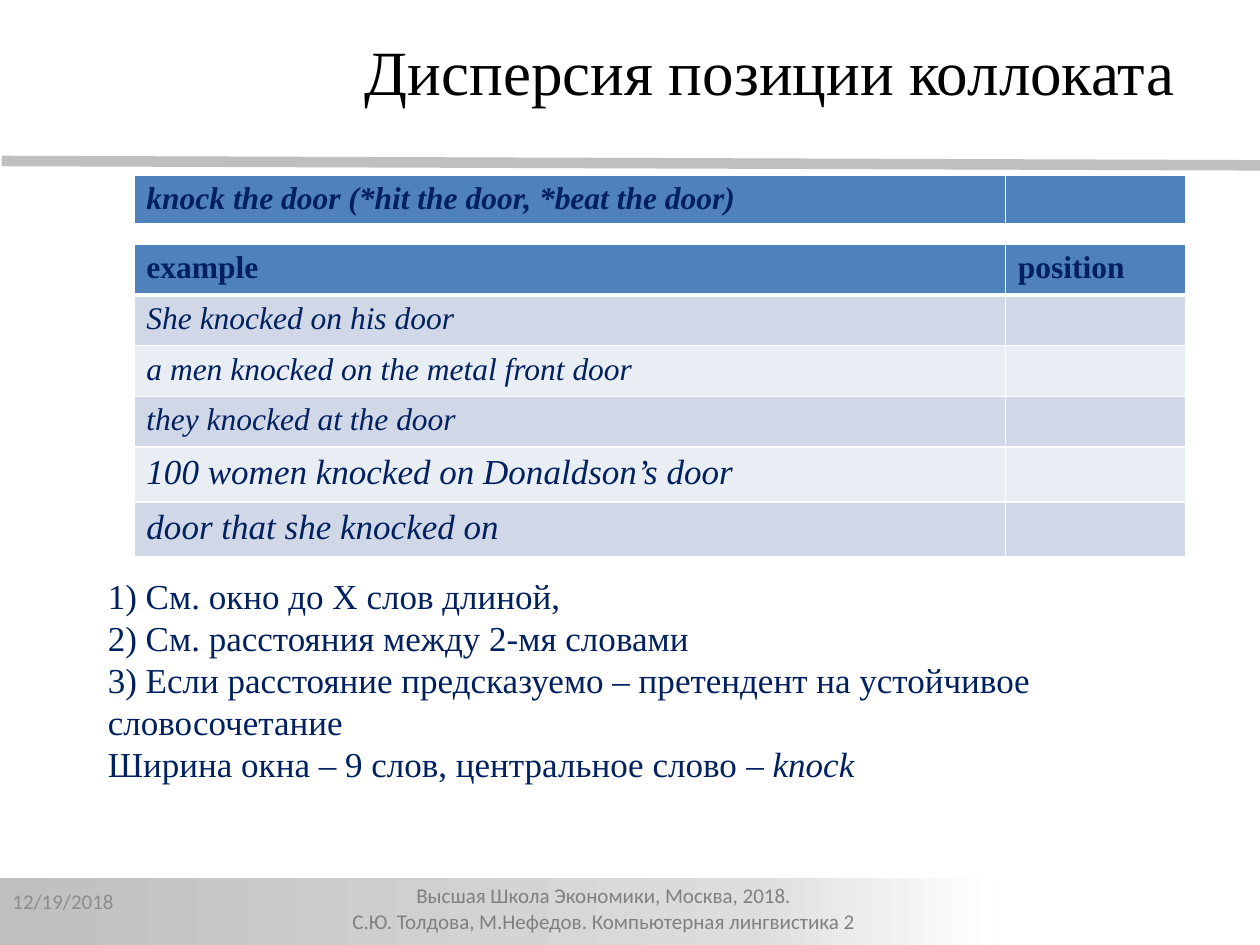
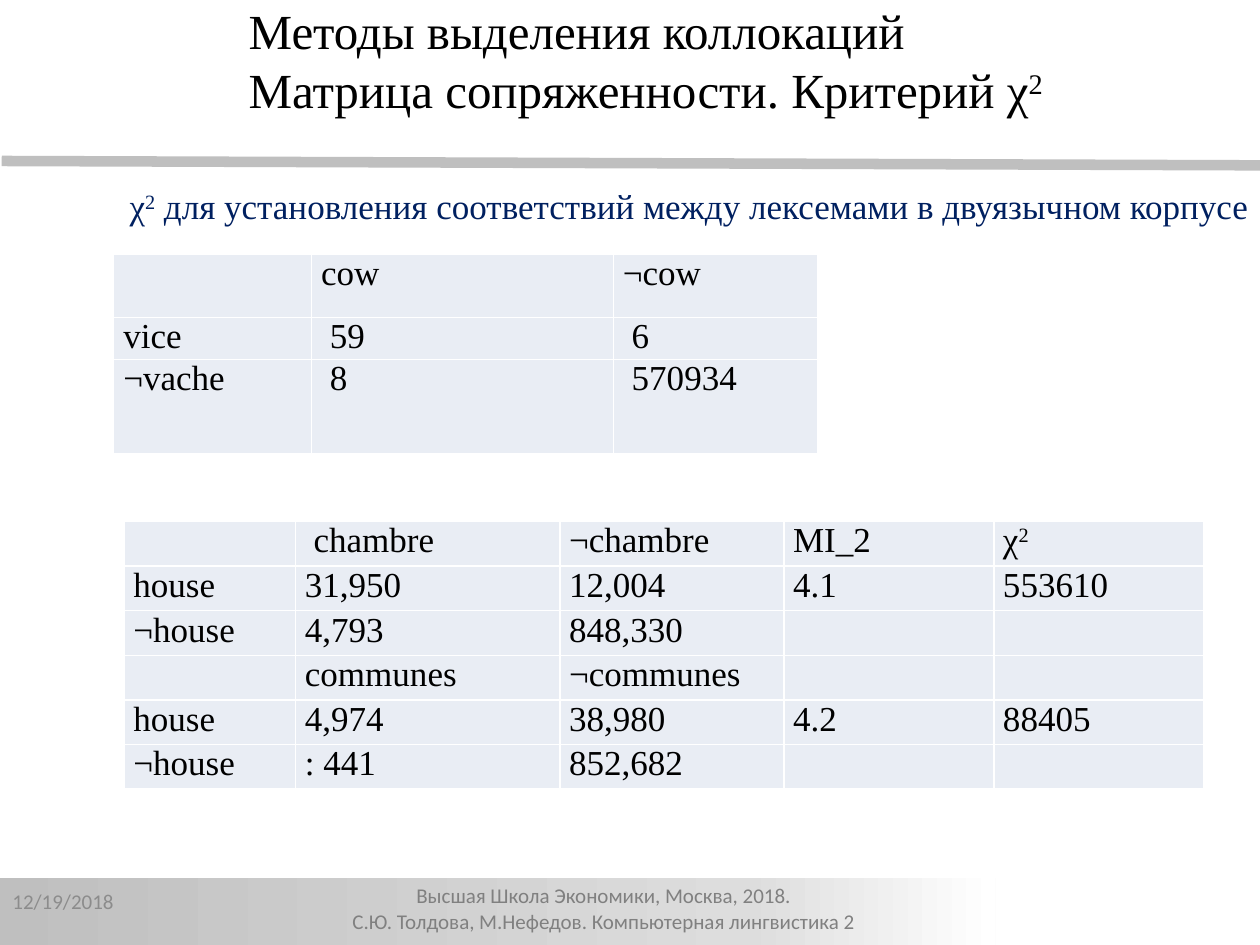
from lxml import etree
from pptx import Presentation
from pptx.dml.color import RGBColor
from pptx.enum import shapes, text
from pptx.oxml import parse_xml
from pptx.oxml.ns import nsdecls, qn
from pptx.util import Pt

SERIF, SANS = "Times New Roman", "Calibri"
BLACK, WHITE, NAVY, GRAY = "000000", "FFFFFF", "002060", "BFBFBF"
FOOTER_GRAY, DATE_GRAY = "808080", "8C8C8C"
HEADER_BLUE, BAND_DARK, BAND_LIGHT = "4F81BD", "D0D8E8", "E9EDF4"
BAND_STOPS = [(0, GRAY), (75, "DDDDDD"), (100, WHITE)]

DATE = "12/19/2018"
FOOTER = [
    "Высшая Школа Экономики, Москва, 2018.",
    "С.Ю. Толдова, М.Нефедов. Компьютерная лингвистика 2",
]
SQUARED = ("2", "super")

DISPERSION_TITLE = ["Дисперсия позиции коллоката"]
PHRASE = [["knock the door (*hit the door, *beat the door)", ""]]
EXAMPLES = [
    ["example", "position"],
    ["She knocked on his door", ""],
    ["a men knocked on the metal front door", ""],
    ["they knocked at the door", ""],
    ["100 women knocked on Donaldson’s door", ""],
    ["door that she knocked on", ""],
]
STEPS = [
    "1) См. окно до Х слов длиной,",
    "2) См. расстояния между 2-мя словами",
    "3) Если расстояние предсказуемо – претендент на устойчивое словосочетание",
    [("Ширина окна – 9 слов, центральное слово ", ""), ("– knock", "italic")],
]

MATRIX_TITLE = [
    "Методы выделения коллокаций",
    [("Матрица сопряженности. Критерий χ", ""), SQUARED],
]
MATRIX_LEAD = [[
    ("χ", ""), SQUARED,
    (" для установления соответствий между лексемами в двуязычном корпусе", ""),
]]
COW_MATRIX = [
    ["", "cow", "¬cow"],
    ["vice", "59", "6"],
    ["¬vache", "8", "570934"],
]
COW_INDENTED = {(1, 1), (1, 2), (2, 1), (2, 2)}
HOUSE_MATRIX = [
    ["", "chambre", "¬chambre", "MI_2", [("χ", ""), SQUARED]],
    ["house", "31,950", "12,004", "4.1", "553610"],
    ["¬house", "4,793", "848,330", "", ""],
    ["", "communes", "¬communes", "", ""],
    ["house", "4,974", "38,980", "4.2", "88405"],
    ["¬house", ": 441", "852,682", "", ""],
]
HOUSE_INDENTED = {(0, 1)}


def color(value):
    return RGBColor.from_string(value)


def write(paragraph, content, size, ink, font=SERIF, bold=False, italic=False):
    for words, style in [(content, "")] if isinstance(content, str) else content:
        if not words:
            continue
        run = paragraph.add_run()
        run.text = words
        if style == "italic":
            run.font.italic = True
        elif style == "super":
            run._r.get_or_add_rPr().set("baseline", "30000")
    paragraph.font.name = font
    paragraph.font.size = Pt(size)
    paragraph.font.color.rgb = color(ink)
    paragraph.font.bold = bold
    paragraph.font.italic = italic


def add_text(slide, box, lines, size, ink, font=SERIF, align=None, anchor=None, left_margin=7.2):
    frame = slide.shapes.add_textbox(*map(Pt, box)).text_frame
    frame.word_wrap = True
    frame.margin_left = Pt(left_margin)
    frame.vertical_anchor = anchor
    for index, line in enumerate(lines):
        paragraph = frame.add_paragraph() if index else frame.paragraphs[0]
        paragraph.alignment = align
        write(paragraph, line, size, ink, font)


def add_borders(cell, bottom_width):
    properties = cell._tc.get_or_add_tcPr()
    widths = {"lnL": 1, "lnR": 1, "lnT": 1, "lnB": bottom_width}
    for index, (side, width) in enumerate(widths.items()):
        properties.insert(index, parse_xml(
            f'<a:{side} {nsdecls("a")} w="{Pt(width)}"><a:solidFill>'
            f'<a:srgbClr val="{WHITE}"/></a:solidFill></a:{side}>'))


def add_table(slide, left, top, columns, heights, rows, margins, look, indented=()):
    frame = slide.shapes.add_table(
        len(rows), len(columns), Pt(left), Pt(top), Pt(sum(columns)), Pt(sum(heights)))
    table = frame.table
    table.first_row = table.horz_banding = False
    for column, width in zip(table.columns, columns):
        column.width = Pt(width)
    for r, row in enumerate(rows):
        table.rows[r].height = Pt(heights[r])
        fill, bottom_width, font = look(r)
        for c, content in enumerate(row):
            cell = table.cell(r, c)
            side, edge = margins
            cell.margin_left = Pt(side + 5 * ((r, c) in indented))
            cell.margin_right = Pt(side)
            cell.margin_top = cell.margin_bottom = Pt(edge)
            cell.fill.solid()
            cell.fill.fore_color.rgb = color(fill)
            add_borders(cell, bottom_width)
            write(cell.text_frame.paragraphs[0], content, **font)


def phrase_look(row):
    return HEADER_BLUE, 3, dict(size=18, ink=NAVY, bold=True, italic=True)


def example_look(row):
    if row == 0:
        return HEADER_BLUE, 3, dict(size=18, ink=NAVY, bold=True)
    fill = BAND_DARK if row % 2 else BAND_LIGHT
    return fill, 1, dict(size=18 if row < 4 else 20, ink=NAVY, italic=True)


def matrix_look(row):
    return BAND_LIGHT, 1, dict(size=20, ink=BLACK)


def add_base_slide(presentation):
    slide = presentation.slides.add_slide(presentation.slide_layouts[6])
    rule = slide.shapes.add_connector(
        shapes.MSO_CONNECTOR.STRAIGHT, Pt(1), Pt(92), Pt(721.5), Pt(94.5))
    rule.line.color.rgb = color(GRAY)
    rule.line.width = Pt(6)
    etree.SubElement(rule._element.spPr, qn("a:effectLst"))

    band = slide.shapes.add_shape(
        shapes.MSO_SHAPE.RECTANGLE, Pt(-1), Pt(502), Pt(570), Pt(41))
    band.shadow.inherit = False
    band.line.fill.background()
    band.fill.gradient()
    band.fill.gradient_angle = 0
    stops = band._element.spPr.find(".//" + qn("a:gsLst"))
    for stop in list(stops):
        stops.remove(stop)
    for position, value in BAND_STOPS:
        stop = etree.SubElement(stops, qn("a:gs"), pos=str(position * 1000))
        etree.SubElement(stop, qn("a:srgbClr"), val=value)

    add_text(slide, (137.5, 501, 415, 32), FOOTER, 12, FOOTER_GRAY, SANS,
             align=text.PP_ALIGN.CENTER)
    add_text(slide, (0, 500.5, 168, 29), [DATE], 12, DATE_GRAY, SANS,
             anchor=text.MSO_ANCHOR.MIDDLE)
    return slide


def build_dispersion(presentation):
    slide = add_base_slide(presentation)
    add_text(slide, (54.5, 325, 635, 150), STEPS, 20, NAVY)
    left, columns, margins = 76.5, (498, 103), (7.2, 3.6)
    add_table(slide, left, 139.5, columns, [29] * 4 + [31] * 2, EXAMPLES, margins, example_look)
    add_table(slide, left, 100, columns, [29], PHRASE, margins, phrase_look)
    add_text(slide, (201.5, 15, 518.5, 51), DISPERSION_TITLE, 36, BLACK)


def build_matrix(presentation):
    slide = add_base_slide(presentation)
    add_table(slide, 65, 145.5, (113, 172.5, 117), (36, 24, 54), COW_MATRIX,
              (5.5, 0), matrix_look, COW_INDENTED)
    add_text(slide, (31, 102, 697, 31), MATRIX_LEAD, 20, NAVY, left_margin=43)
    add_table(slide, 71, 298, (98, 151, 128, 120, 120), [25.5] * 6, HOUSE_MATRIX,
              (5.2, 0), matrix_look, HOUSE_INDENTED)
    add_text(slide, (135, -3, 554.5, 75), MATRIX_TITLE, 28, BLACK)


def main():
    presentation = Presentation()
    presentation.slide_width, presentation.slide_height = Pt(720), Pt(540)
    build_dispersion(presentation)
    build_matrix(presentation)
    presentation.save("out.pptx")


if __name__ == "__main__":
    main()
